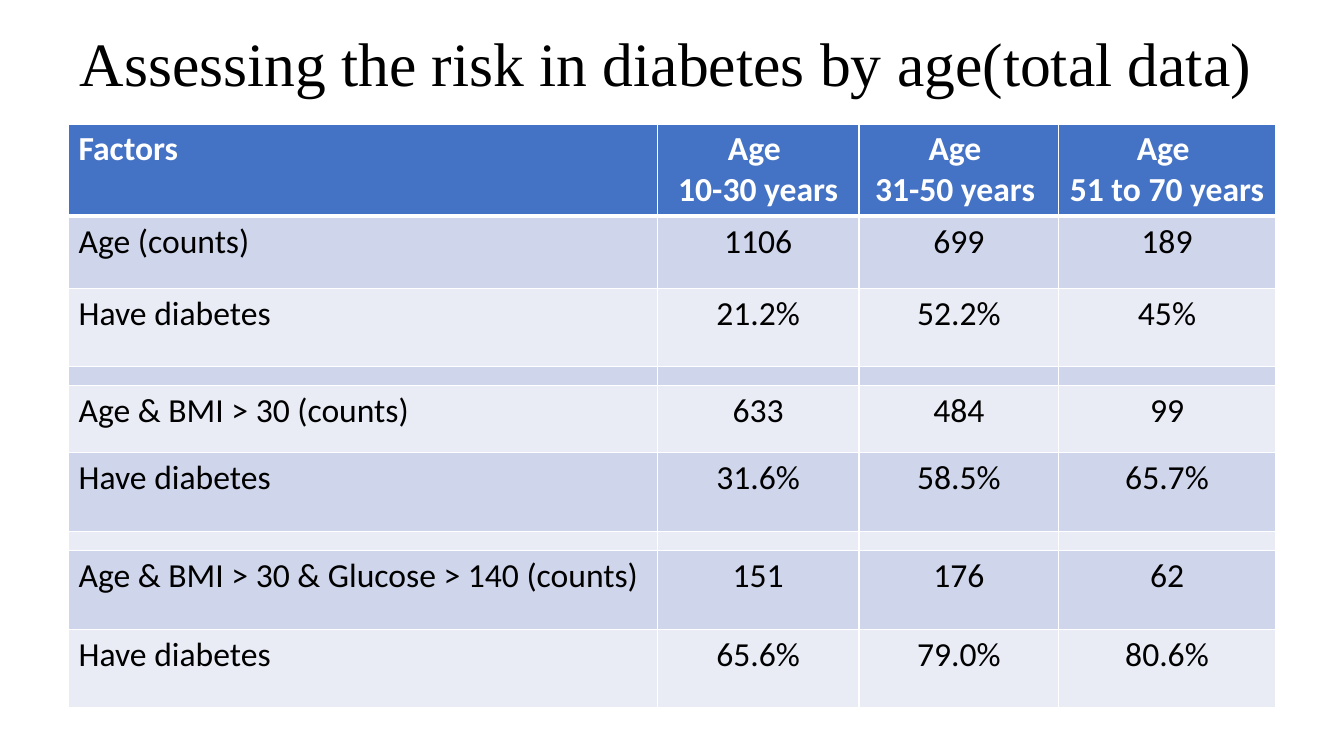
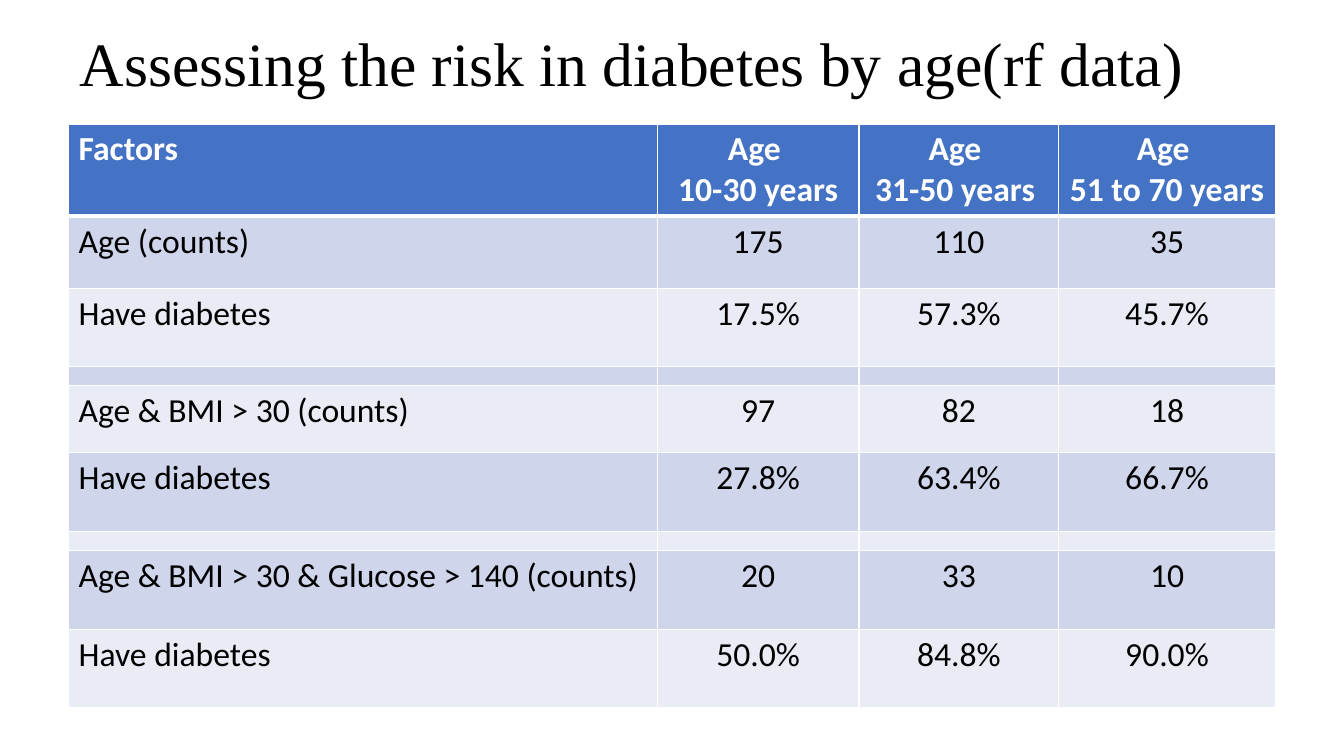
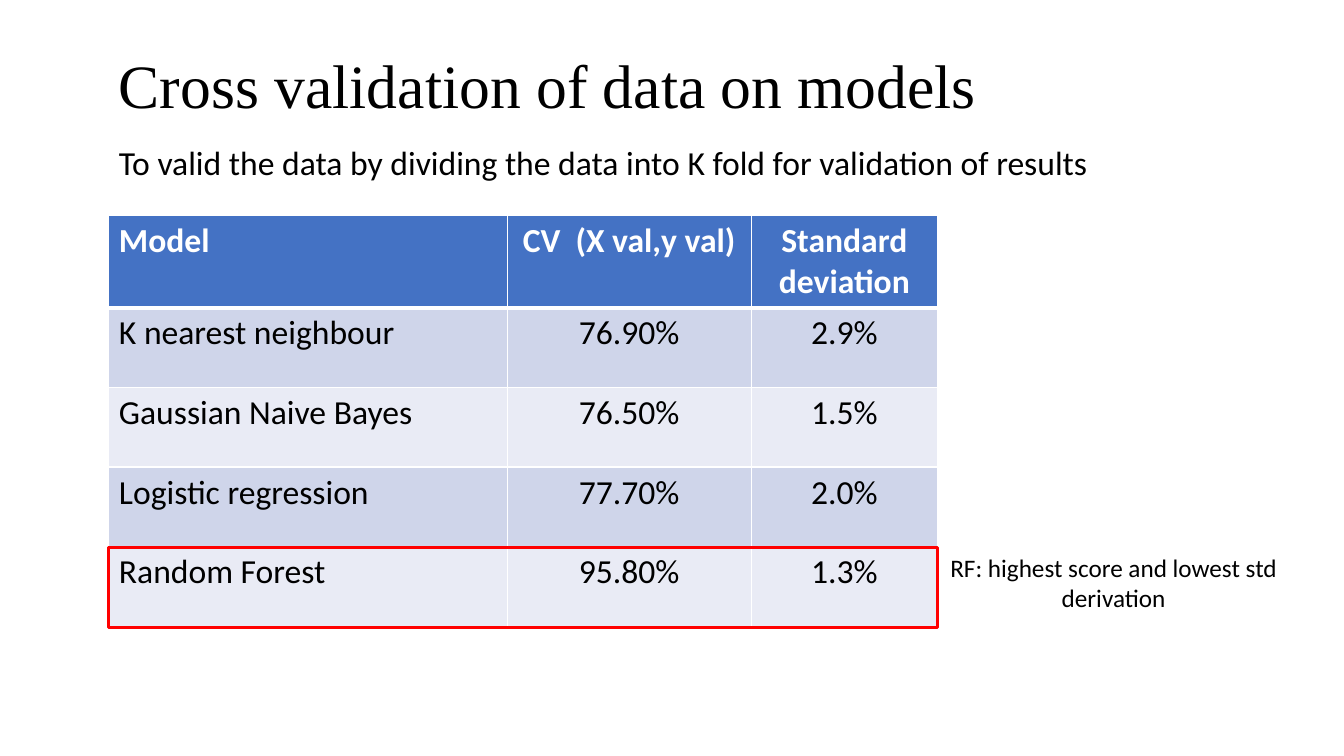
from lxml.etree import SubElement
from pptx import Presentation
from pptx.dml.color import RGBColor
from pptx.enum.shapes import MSO_SHAPE
from pptx.enum.text import MSO_ANCHOR, MSO_AUTO_SIZE, PP_ALIGN
from pptx.oxml.ns import qn
from pptx.util import Inches, Pt

HUES = {
    "head": "4472C4",
    "odd": "CFD5EA",
    "even": "E9EBF5",
    "white": "FFFFFF",
    "black": "000000",
    "red": "FF0000",
}
STYLES = {
    "title": {"name": "Times New Roman", "size": Pt(44), "bold": False},
    "head": {"name": "Calibri", "size": Pt(24), "bold": True},
    "body": {"name": "Calibri", "size": Pt(24), "bold": False},
    "note": {"name": "Calibri", "size": Pt(18), "bold": False},
}
FRAME = {"word_wrap": True, "auto_size": MSO_AUTO_SIZE.NONE}
GAP = 0.19

AGES = ["Factors", "Age \n10-30 years", "Age \n31-50 years ", "Age \n51 to 70 years"]
FACTORS = ["Age (counts)", "Age & BMI > 30 (counts)", "Age & BMI > 30 & Glucose > 140 (counts)"]
RISKS = [
    {
        "title": "Assessing the risk in diabetes by age(total data)",
        "counts": [["1106", "699", "189"], ["633", "484", "99"], ["151", "176", "62"]],
        "rates": [["21.2%", "52.2%", "45%"], ["31.6%", "58.5%", "65.7%"], ["65.6%", "79.0%", "80.6%"]],
    },
    {
        "title": "Assessing the risk in diabetes by age(rf data)",
        "counts": [["175", "110", "35"], ["97", "82", "18"], ["20", "33", "10"]],
        "rates": [["17.5%", "57.3%", "45.7%"], ["27.8%", "63.4%", "66.7%"], ["50.0%", "84.8%", "90.0%"]],
    },
]
RISK_COLS = [5.84, 2, 1.98, 2.15]
RISK_ROWS = [0.9, 0.72, 0.77, GAP, 0.67, 0.78, GAP, 0.78, 0.78]

MODELS = [
    ["Model", "CV  (X val,y val)", "Standard deviation"],
    ["K nearest neighbour", "76.90%", "2.9%"],
    ["Gaussian Naive Bayes", "76.50%", "1.5%"],
    ["Logistic regression", "77.70%", "2.0%"],
    ["Random Forest", "95.80%", "1.3%"],
]
MODEL_COLS = [3.95, 2.42, 1.85]
MODEL_ROWS = [0.9] + [0.79] * 4
LEFT = 1.08


def rgb(hue):
    return RGBColor.from_string(HUES[hue])


def style(frame, kind, hue="black", align=PP_ALIGN.LEFT):
    for para in frame.paragraphs:
        para.alignment = align
        for run in para.runs:
            for key, value in STYLES[kind].items():
                setattr(run.font, key, value)
            run.font.color.rgb = rgb(hue)


def place(shape, box):
    for key, value in zip(("left", "top", "width", "height"), box):
        setattr(shape, key, Inches(value))


def add_slide(deck, text, box):
    slide = deck.slides.add_slide(deck.slide_layouts[5])
    title = slide.shapes.title
    place(title, box)
    frame = title.text_frame
    frame.text = text
    for key, value in {**FRAME, "vertical_anchor": MSO_ANCHOR.MIDDLE}.items():
        setattr(frame, key, value)
    frame.paragraphs[0].line_spacing = 0.9
    style(frame, "title")
    return slide


def add_text(slide, text, box, kind, align=PP_ALIGN.LEFT):
    frame = slide.shapes.add_textbox(*map(Inches, box)).text_frame
    frame.text = text
    for key, value in FRAME.items():
        setattr(frame, key, value)
    style(frame, kind, align=align)


def edge(cell, row):
    props = cell._tc.get_or_add_tcPr()
    for side in "LRTB":
        thick = (row, side) in ((0, "B"), (1, "T"))
        line = SubElement(props, qn("a:ln" + side), w=str(Pt(3 if thick else 1)))
        fill = SubElement(line, qn("a:solidFill"))
        SubElement(fill, qn("a:srgbClr"), val=HUES["white"])


def add_grid(slide, data, left, top, cols, rows):
    box = map(Inches, (left, top, sum(cols), sum(rows)))
    grid = slide.shapes.add_table(len(rows), len(cols), *box).table
    for col, width in zip(grid.columns, cols):
        col.width = Inches(width)
    for i, (row, height) in enumerate(zip(grid.rows, rows)):
        row.height = Inches(height)
        kind = "body" if i else "head"
        band = ("odd" if i % 2 else "even") if i else "head"
        for j, cell in enumerate(row.cells):
            edge(cell, i)
            cell.fill.solid()
            cell.fill.fore_color.rgb = rgb(band)
            if data[i][j]:
                cell.text = data[i][j]
                style(cell.text_frame, kind, "black" if i else "white",
                      PP_ALIGN.CENTER if j else PP_ALIGN.LEFT)
            else:
                cell.margin_top = cell.margin_bottom = 0
                SubElement(cell.text_frame.paragraphs[0]._p, qn("a:endParaRPr"), sz="500")


def risk_rows(risk):
    data = [AGES]
    for name, count, rate in zip(FACTORS, risk["counts"], risk["rates"]):
        if len(data) > 1:
            data.append([""] * len(AGES))
        data += [[name] + count, ["Have diabetes"] + rate]
    return data


def add_models(deck):
    slide = add_slide(deck, "Cross validation of data on models", (LEFT, 0.4, 11.34, 0.96))
    add_grid(slide, MODELS, LEFT, 2.14, MODEL_COLS, MODEL_ROWS)
    wide = sum(MODEL_COLS)
    best = slide.shapes.add_shape(MSO_SHAPE.RECTANGLE, *map(Inches, (LEFT, 5.43, wide, 0.8)))
    best.shadow.inherit = False
    best.fill.background()
    best.line.color.rgb = rgb("red")
    best.line.width = Pt(2)
    add_text(slide, "RF: highest score and lowest std derivation",
             (LEFT + wide, 5.43, 3.49, 0.71), "note", PP_ALIGN.CENTER)
    add_text(slide, "To valid the data by dividing the data into K fold for validation of results",
             (LEFT, 1.36, 10.72, 0.5), "body")


def main():
    deck = Presentation()
    deck.slide_width, deck.slide_height = Inches(13.33), Inches(7.5)
    for risk in RISKS:
        slide = add_slide(deck, risk["title"], (0.69, 0.09, 11.97, 1.14))
        add_grid(slide, risk_rows(risk), 0.68, 1.23, RISK_COLS, RISK_ROWS)
    add_models(deck)
    deck.save("out.pptx")


if __name__ == "__main__":
    main()
